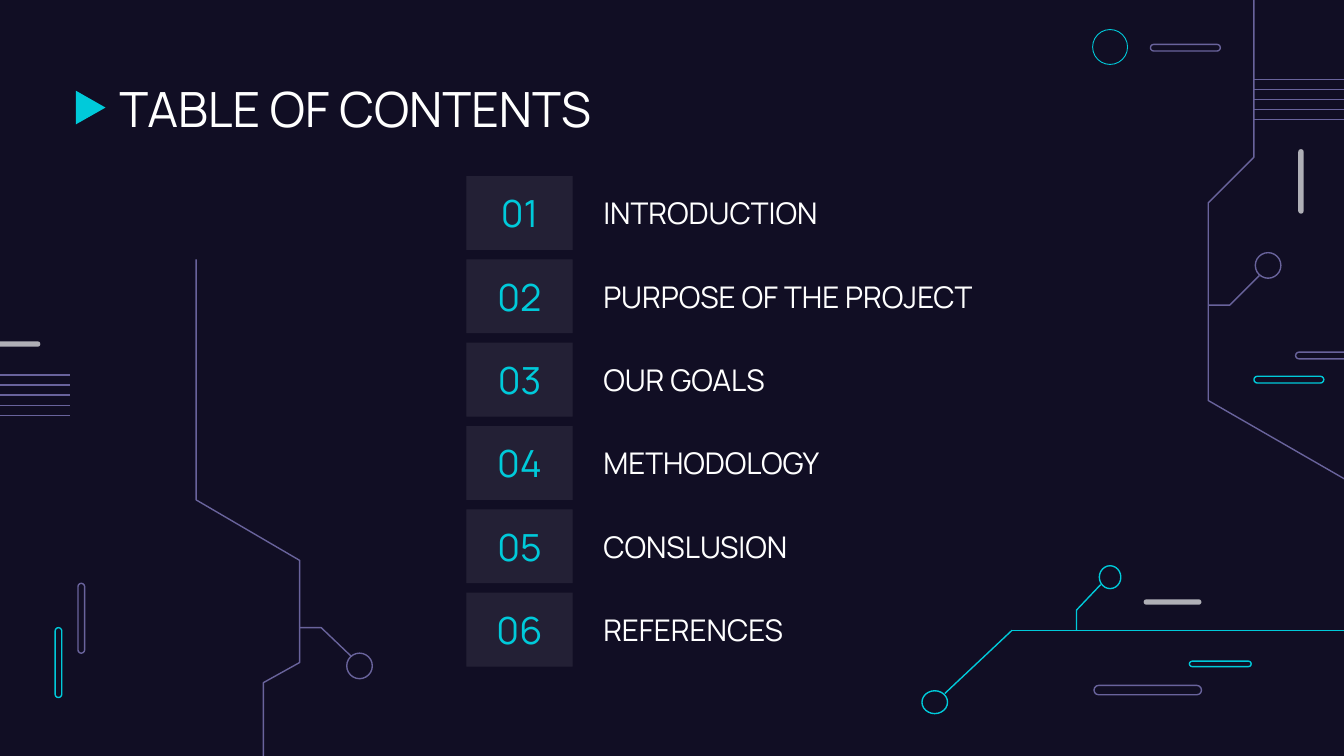
from dataclasses import dataclass

import pptx
import pptx.dml.color
import pptx.enum.shapes
import pptx.enum.text
import pptx.oxml
import pptx.oxml.ns
import pptx.util
from pptx.util import Inches

RGBColor = pptx.dml.color.RGBColor
MSO_SHAPE = pptx.enum.shapes.MSO_SHAPE
ANCHOR = pptx.enum.text.MSO_ANCHOR
ALIGN = pptx.enum.text.PP_ALIGN

NAVY = RGBColor(0x11, 0x0E, 0x24)
CYAN = RGBColor(0x00, 0xCA, 0xDA)
PURPLE = RGBColor(0x69, 0x63, 0x9C)
GREY = RGBColor(0xAF, 0xAF, 0xB6)
WHITE = RGBColor(0xFF, 0xFF, 0xFF)
FONT = "Manrope"
SLIDE_W = 10
SLIDE_H = SLIDE_W * 9 / 16


@dataclass
class Node:
    """A pill or circle of the circuit decoration, in inches."""
    left: float
    top: float
    width: float
    height: float
    color: RGBColor
    solid: bool = False
    round: bool = False
    weight: float = 0.75


@dataclass
class Trace:
    """An open circuit path through points in inches."""
    points: list[tuple[float, float]]
    color: RGBColor = PURPLE


@dataclass
class Entry:
    title: str
    width: float = 2.91
    height: float = 0.55


NODES = [
    Node(0.41, 4.67, 0.05, 0.52, CYAN),
    Node(0.58, 4.34, 0.05, 0.52, PURPLE),
    Node(9.33, 2.8, 0.52, 0.05, CYAN),
    Node(9.64, 2.62, 0.52, 0.05, PURPLE),
    Node(8.13, 0.22, 0.26, 0.26, CYAN, round=True, weight=0.47),
    Node(8.56, 0.33, 0.52, 0.05, PURPLE),
    Node(9.34, 1.88, 0.19, 0.19, PURPLE, round=True),
    Node(9.66, 1.11, 0.04, 0.48, GREY, solid=True),
    Node(-0.18, 2.54, 0.48, 0.04, GREY, solid=True),
    Node(2.58, 4.86, 0.19, 0.19, PURPLE, round=True),
    Node(6.86, 5.14, 0.19, 0.17, CYAN, round=True),
    Node(8.51, 4.46, 0.43, 0.04, GREY, solid=True),
    Node(8.85, 4.92, 0.46, 0.04, CYAN),
    Node(8.14, 5.1, 0.8, 0.07, PURPLE),
    Node(8.18, 4.21, 0.16, 0.17, CYAN, round=True),
]

TRACES = [
    Trace([(9.37, 2.05), (9.15, 2.27), (8.99, 2.27)]),
    Trace([(10.12, 3.63), (8.99, 2.98), (8.99, 1.51), (9.33, 1.17), (9.33, -0.06)]),
    Trace([(2.61, 4.88), (2.39, 4.67), (2.23, 4.67)]),
    Trace([(1.46, 1.93), (1.46, 3.72), (2.23, 4.17), (2.23, 4.93),
           (1.96, 5.08), (1.96, 5.71)]),
    Trace([(8.19, 4.35), (8.01, 4.54), (8.01, 4.69)], CYAN),
]

ENTRIES = [
    Entry("INTRODUCTION"),
    Entry("PURPOSE OF THE PROJECT", 3.39, 0.44),
    Entry("OUR GOALS"),
    Entry("METHODOLOGY"),
    Entry("CONSLUSION"),
    Entry("REFERENCES"),
]


def add_node(s, node: Node) -> None:
    kind = MSO_SHAPE.OVAL if node.round else MSO_SHAPE.ROUNDED_RECTANGLE
    sp = s.shapes.add_shape(kind, Inches(node.left), Inches(node.top),
                            Inches(node.width), Inches(node.height))
    sp.shadow.inherit = False
    if not node.round:
        sp.adjustments[0] = 0.5
    if node.solid:
        sp.fill.solid()
        sp.fill.fore_color.rgb = node.color
        sp.line.fill.background()
    else:
        sp.fill.background()
        sp.line.color.rgb = node.color
        sp.line.width = pptx.util.Pt(node.weight)


def add_trace(s, trace: Trace) -> None:
    points = [(Inches(x), Inches(y)) for x, y in trace.points]
    builder = s.shapes.build_freeform(*points[0])
    builder.add_line_segments(points[1:], close=False)
    sp = builder.convert_to_shape()
    sp.shadow.inherit = False
    sp.fill.background()
    sp.line.color.rgb = trace.color
    sp.line.width = pptx.util.Pt(0.75)


def add_line(s, x1: float, y1: float, x2: float, y2: float, color: RGBColor) -> None:
    cx = s.shapes.add_connector(pptx.enum.shapes.MSO_CONNECTOR.STRAIGHT,
                                Inches(x1), Inches(y1), Inches(x2), Inches(y2))
    cx.line.color.rgb = color
    cx.line.width = pptx.util.Pt(0.75)
    cx._element.spPr.append(pptx.oxml.parse_xml(
        f"<a:effectLst {pptx.oxml.ns.nsdecls('a')}/>"))


def set_text(sp, text: str, size: float, color: RGBColor, align=ALIGN.LEFT,
             anchor=ANCHOR.MIDDLE) -> None:
    tf = sp.text_frame
    tf.text = text
    tf.word_wrap = True
    tf.vertical_anchor = anchor
    tf.margin_left = tf.margin_right = tf.margin_top = tf.margin_bottom = Inches(0.1)
    p = tf.paragraphs[0]
    p.alignment = align
    font = p.runs[0].font
    font.name, font.size, font.color.rgb = FONT, pptx.util.Pt(size), color


def add_label(s, left: float, top: float, width: float, height: float, text: str,
              size: float, anchor=ANCHOR.MIDDLE) -> None:
    sp = s.shapes.add_textbox(Inches(left), Inches(top), Inches(width), Inches(height))
    set_text(sp, text, size, WHITE, anchor=anchor)


def add_number(s, top: float, height: float, number: int) -> None:
    sp = s.shapes.add_shape(MSO_SHAPE.RECTANGLE, Inches(3.47), Inches(top),
                            Inches(0.79), Inches(height))
    sp.shadow.inherit = False
    sp.line.fill.background()
    sp.fill.solid()
    sp.fill.fore_color.rgb = WHITE
    color = sp._element.spPr.find(".//" + pptx.oxml.ns.qn("a:srgbClr"))
    color.append(pptx.oxml.parse_xml(
        f"<a:alpha {pptx.oxml.ns.nsdecls('a')} val='8000'/>"))
    set_text(sp, f"{number:02d}", 20, CYAN, ALIGN.CENTER)


def main() -> None:
    prs = pptx.Presentation()
    prs.slide_width, prs.slide_height = Inches(SLIDE_W), Inches(SLIDE_H)
    s = prs.slides.add_slide(prs.slide_layouts[6])
    s.background.fill.solid()
    s.background.fill.fore_color.rgb = NAVY

    # Circuit decoration
    for node in NODES:
        add_node(s, node)
    for trace in TRACES:
        add_trace(s, trace)
    gap = 0.3 / 4
    for i in range(5):
        add_line(s, 9.33, 0.59 + gap * i, SLIDE_W, 0.59 + gap * i, PURPLE)
        add_line(s, 0, 2.79 + gap * i, 0.52, 2.79 + gap * i, PURPLE)
    add_line(s, 7.53, 4.69, SLIDE_W, 4.69, CYAN)
    add_line(s, 7.53, 4.69, 7.03, 5.16, CYAN)

    # Title with its marker
    marker = s.shapes.add_shape(MSO_SHAPE.FLOWCHART_MERGE, Inches(0.55), Inches(0.69),
                                Inches(0.25), Inches(0.22))
    marker.shadow.inherit = False
    marker.rotation = 270
    marker.fill.solid()
    marker.fill.fore_color.rgb = CYAN
    marker.line.fill.background()
    add_label(s, 0.79, 0.49, 8.43, 0.63, "TABLE OF CONTENTS", 26, ANCHOR.TOP)

    # Numbered contents
    row_h, pitch = 0.55, 0.62
    for i, entry in enumerate(ENTRIES):
        top = 1.31 + pitch * i
        add_number(s, top, row_h, i + 1)
        add_label(s, 4.39, top + (row_h - entry.height) / 2, entry.width, entry.height,
                  entry.title, 16)

    prs.save("out.pptx")


if __name__ == "__main__":
    main()
